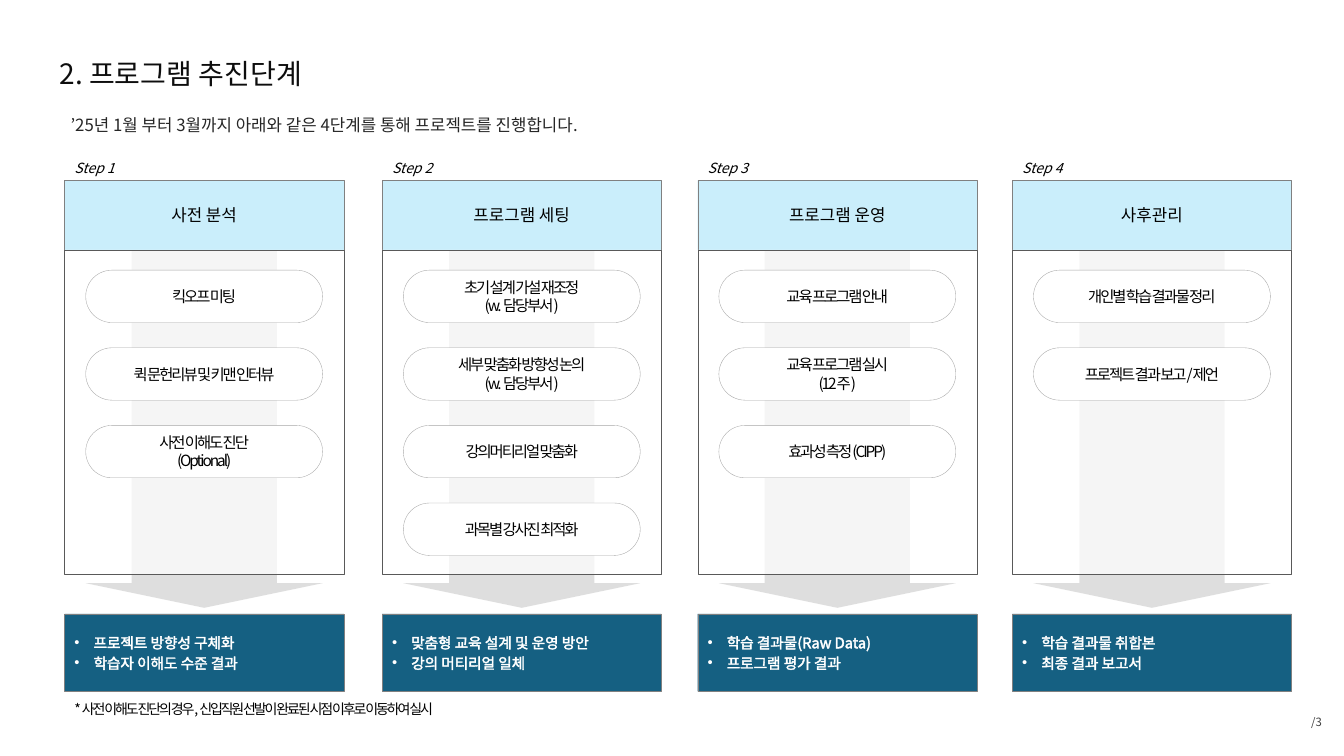
from dataclasses import dataclass

from lxml import etree
from pptx import Presentation
from pptx.dml.color import RGBColor
from pptx.enum.shapes import MSO_SHAPE
from pptx.enum.text import MSO_ANCHOR, PP_ALIGN
from pptx.oxml.ns import qn
from pptx.util import Inches, Pt

RECT, PILL, ARROW = MSO_SHAPE.RECTANGLE, MSO_SHAPE.ROUNDED_RECTANGLE, MSO_SHAPE.DOWN_ARROW
LEFT, CENTER, RIGHT = PP_ALIGN.LEFT, PP_ALIGN.CENTER, PP_ALIGN.RIGHT
TOP, MIDDLE = MSO_ANCHOR.TOP, MSO_ANCHOR.MIDDLE


@dataclass(frozen=True)
class Theme:
    """Colours, type sizes and font of the slide."""
    font: str = "Noto Sans CJK KR"
    title: str = "0D0D0D"
    lead: str = "262626"
    muted: str = "404040"
    text: str = "000000"
    white: str = "FFFFFF"
    header: str = "CAEEFB"
    output: str = "156082"
    arrow: str = "BFBFBF"
    box_line: str = "808080"
    panel_line: str = "595959"
    pill_line: str = "A6A6A6"
    title_size: float = 20
    body_size: float = 12
    pill_size: float = 11
    output_size: float = 10.5
    small_size: float = 10
    page_size: float = 8.1


T = Theme()
CARD_WIDTH, PILL_WIDTH, PILL_HEIGHT = 2.77, 2.35, 0.52
PILL_TOP, PILL_PITCH = 2.68, 0.77
STEPS = [
    (0.64, "사전 분석",
     ["킥오프 미팅", "퀵 문헌리뷰 및 키맨 인터뷰", "사전 이해도 진단\n(Optional)"],
     "프로젝트 방향성 구체화\n학습자 이해도 수준 결과"),
    (3.79, "프로그램 세팅",
     ["초기 설계 가설 재조정\n(w. 담당부서)", "세부 맞춤화 방향성 논의\n(w. 담당부서)",
      "강의머티리얼 맞춤화", "과목별 강사진 최적화"],
     "맞춤형 교육 설계 및 운영 방안\n강의 머티리얼 일체"),
    (6.92, "프로그램 운영",
     ["교육 프로그램 안내", "교육 프로그램 실시\n(12주)", "효과성 측정(CIPP)"],
     "학습 결과물(Raw Data)\n프로그램 평가 결과"),
    (10.04, "사후관리",
     ["개인별 학습 결과물 정리", "프로젝트 결과 보고/제언"],
     "학습 결과물 취합본\n최종 결과 보고서"),
]


def set_attrs(obj, values):
    """Set every attribute in a dict of format values."""
    for name, value in values.items():
        setattr(obj, name, value)


def add_bullet(p):
    """Give a paragraph a hanging round bullet."""
    pPr = p._p.get_or_add_pPr()
    pPr.set("marL", str(Inches(0.19)))
    pPr.set("indent", str(Inches(-0.19)))
    etree.SubElement(pPr, qn("a:buFont")).set("typeface", "Arial")
    etree.SubElement(pPr, qn("a:buChar")).set("char", "•")


def add_outline(r, color):
    """Draw a thin outline around the letters of a run."""
    ln = etree.Element(qn("a:ln"), w=str(Pt(0.25)))
    fill = etree.SubElement(ln, qn("a:solidFill"))
    etree.SubElement(fill, qn("a:srgbClr")).set("val", color)
    r._r.get_or_add_rPr().insert(0, ln)


def write(sp, text, size, color, align=LEFT, anchor=MIDDLE, wrap=True, inset=None,
          italic=None, tight=False, bullets=False, para=None):
    """Write one paragraph per line of text into a shape."""
    tf = sp.text_frame
    set_attrs(tf, {"word_wrap": wrap, "vertical_anchor": anchor})
    if inset is not None:
        sides = ("left", "top", "right", "bottom")
        set_attrs(tf, {f"margin_{side}": Inches(inset) for side in sides})
    for i, line in enumerate(text.split("\n")):
        p = tf.add_paragraph() if i else tf.paragraphs[0]
        set_attrs(p, {"alignment": align, **(para or {})})
        if bullets:
            if i:
                p.space_before = Pt(2)
            add_bullet(p)
        r = p.add_run()
        r.text = line
        set_attrs(r.font, {"size": Pt(size), "name": T.font, "italic": italic})
        r.font.color.rgb = RGBColor.from_string(color)
        rPr = r._r.get_or_add_rPr()
        etree.SubElement(rPr, qn("a:ea")).set("typeface", T.font)
        if tight:
            rPr.set("spc", "-150")
        if bullets:
            add_outline(r, color)


def add_text(s, box, text, size, color, **fmt):
    """Add a text box."""
    write(s.shapes.add_textbox(*map(Inches, box)), text, size, color, **fmt)


def add_box(s, kind, box, fill, line=None, opacity=None, adjust=()):
    """Add a filled preset shape and return it."""
    sp = s.shapes.add_shape(kind, *map(Inches, box))
    sp.shadow.inherit = False
    for i, value in enumerate(adjust):
        sp.adjustments[i] = value
    sp.fill.solid()
    sp.fill.fore_color.rgb = RGBColor.from_string(fill)
    if opacity:
        clr = sp._element.spPr.find(qn("a:solidFill"))[0]
        etree.SubElement(clr, qn("a:alpha")).set("val", str(opacity * 1000))
    if line:
        sp.line.color.rgb = RGBColor.from_string(line)
        sp.line.width = Pt(0.25)
    else:
        sp.line.fill.background()
    return sp


def add_step(s, number, left, name, tasks, outputs):
    """Add one column: label, header, task panel and outputs."""
    pill_left = left + (CARD_WIDTH - PILL_WIDTH) / 2
    add_box(s, ARROW, (pill_left, 2.45, PILL_WIDTH, 3.58), T.arrow,
            opacity=50, adjust=(0.613, 0.104))
    add_text(s, (left, 1.53, 0.8, 0.29), f"Step {number}", T.small_size, T.text,
             anchor=TOP, wrap=False, italic=True)
    header = add_box(s, RECT, (left, 1.79, CARD_WIDTH, 0.69), T.header, T.box_line)
    write(header, name, T.body_size, T.text, align=CENTER)
    add_box(s, RECT, (left, 2.48, CARD_WIDTH, 3.22), T.white, T.panel_line, opacity=72)
    result = add_box(s, RECT, (left, 6.09, CARD_WIDTH, 0.77), T.output, T.box_line)
    write(result, outputs, T.output_size, T.white, bullets=True)
    for i, task in enumerate(tasks):
        box = (pill_left, PILL_TOP + i * PILL_PITCH, PILL_WIDTH, PILL_HEIGHT)
        pill = add_box(s, PILL, box, T.white, T.pill_line, adjust=(0.5,))
        write(pill, task, T.pill_size, T.text, align=CENTER, tight=True)


def main():
    """Build the slide and save it."""
    prs = Presentation()
    set_attrs(prs, {"slide_width": Inches(13.33), "slide_height": Inches(7.5)})
    s = prs.slides.add_slide(prs.slide_layouts[6])
    add_text(s, (0.55, 0.49, 10.02, 0.47), "2. 프로그램 추진단계", T.title_size, T.title,
             inset=0.04)
    add_text(s, (0.7, 1.12, 12.19, 0.23),
             "’25년 1월 부터 3월까지 아래와 같은 4단계를 통해 프로젝트를 진행합니다.",
             T.body_size, T.lead, anchor=TOP, inset=0, para={"line_spacing": 1.1})
    for number, step in enumerate(STEPS, 1):
        add_step(s, number, *step)
    add_text(s, (0.64, 6.9, 3.9, 0.27),
             "* 사전 이해도 진단의 경우, 신입직원 선발이 완료된 시점 이후로 이동하여 실시",
             T.small_size, T.text, anchor=TOP, tight=True)
    add_text(s, (12.72, 7.04, 0.49, 0.25), "/3", T.page_size, T.muted, align=RIGHT)
    prs.save("out.pptx")


if __name__ == "__main__":
    main()
